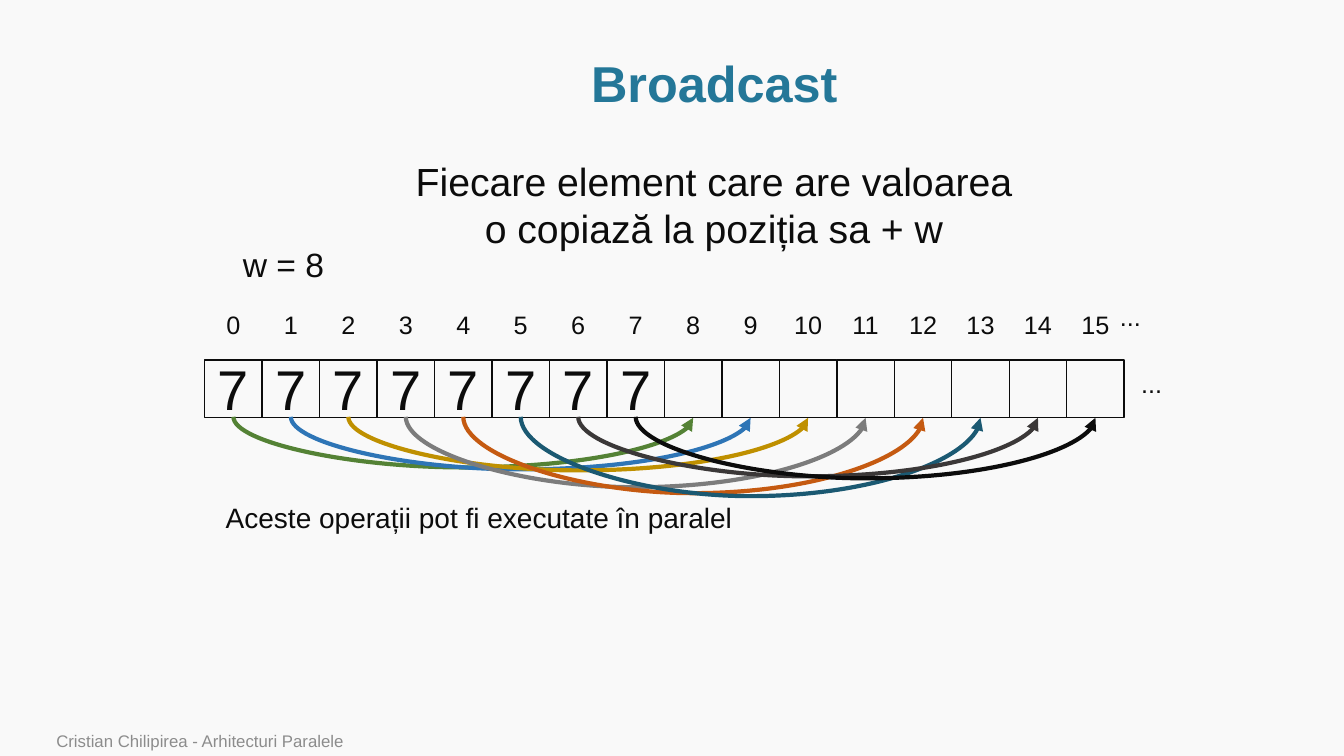
from dataclasses import dataclass

from lxml import etree
from pptx import Presentation
from pptx.dml.color import RGBColor
from pptx.enum.shapes import MSO_CONNECTOR, MSO_SHAPE
from pptx.enum.text import MSO_ANCHOR, PP_ALIGN
from pptx.oxml.ns import qn
from pptx.slide import Slide
from pptx.text.text import TextFrame
from pptx.util import Inches, Pt

CURVE = MSO_CONNECTOR.CURVE
RECTANGLE = MSO_SHAPE.RECTANGLE
TOP, MIDDLE, BOTTOM = MSO_ANCHOR.TOP, MSO_ANCHOR.MIDDLE, MSO_ANCHOR.BOTTOM
LEFT, CENTER = PP_ALIGN.LEFT, PP_ALIGN.CENTER


@dataclass(frozen=True)
class Theme:
    font: str = "Arial"
    background: str = "F9F9F9"
    ink: str = "0C0C0C"
    heading: str = "247798"
    muted: str = "8C8C8C"
    title_size: int = 36
    statement_size: int = 28
    offset_size: int = 24
    remark_size: int = 20
    index_size: int = 18
    value_size: int = 40
    footer_size: int = 12
    cell_line: float = 1
    arrow_line: float = 3


@dataclass(frozen=True)
class Label:
    text: str
    left: float
    top: float
    width: float
    height: float
    size: int
    color: str
    align: PP_ALIGN = LEFT
    anchor: MSO_ANCHOR = TOP
    bold: bool = False
    wrap: bool = True
    line_spacing: float = 1.0


@dataclass(frozen=True)
class CopyArrow:
    color: str
    depth: float


THEME = Theme()

CELL = 0.57
CELL_COUNT = 16
ROW_LEFT, ROW_TOP = 2.03, 3.57
INDEX_TOP, INDEX_HEIGHT = 3.02, 0.4
OFFSET = 8
VALUE = "7"
ARROW_DROP = 0.01

COPY_ARROWS = (
    CopyArrow("548235", 0.51),
    CopyArrow("2E75B6", 0.53),
    CopyArrow("BF9000", 0.54),
    CopyArrow("7C7C7C", 0.71),
    CopyArrow("C55A11", 0.77),
    CopyArrow("1B5972", 0.8),
    CopyArrow(THEME_DARK := "3B3838", 0.6),
    CopyArrow(THEME.ink, 0.62),
)

LABELS = (
    Label("Broadcast", 1.14, 0.51, 11.89, 0.69, THEME.title_size, THEME.heading,
          CENTER, MIDDLE, bold=True, line_spacing=0.9),
    Label("...", 11.01, 2.94, 0.41, 0.4, THEME.index_size, THEME.ink, wrap=False),
    Label("...", 11.22, 3.6, 0.41, 0.4, THEME.index_size, THEME.ink, wrap=False),
    Label("w = 8", 2.31, 2.37, 1.02, 0.5, THEME.offset_size, THEME.ink, wrap=False),
    Label("Aceste operații pot fi executate în paralel", 2.14, 4.92, 5.26, 0.44,
          THEME.remark_size, THEME.ink, wrap=False),
    Label("Cristian Chilipirea - Arhitecturi Paralele", 0.46, 7.22, 9.82, 0.28,
          THEME.footer_size, THEME.muted, anchor=BOTTOM),
    Label("Fiecare element care are valoarea o copiază la poziția sa + w",
          3.87, 1.51, 6.42, 1.04, THEME.statement_size, THEME.ink, CENTER),
)


def write(frame: TextFrame, text: str, size: int, color: str, align: PP_ALIGN,
          bold: bool = False) -> None:
    paragraph = frame.paragraphs[0]
    paragraph.text = text
    paragraph.alignment = align
    font = paragraph.runs[0].font
    font.name = THEME.font
    font.size = Pt(size)
    font.bold = bold
    font.color.rgb = RGBColor.from_string(color)


def add_label(slide: Slide, label: Label) -> None:
    box = slide.shapes.add_textbox(Inches(label.left), Inches(label.top),
                                   Inches(label.width), Inches(label.height))
    frame = box.text_frame
    frame.word_wrap = label.wrap
    frame.vertical_anchor = label.anchor
    write(frame, label.text, label.size, label.color, label.align, label.bold)
    frame.paragraphs[0].line_spacing = label.line_spacing


def add_cell(slide: Slide, index: int) -> None:
    """Draw one array cell with its index above; the first cells hold the value."""
    left = ROW_LEFT + index * CELL
    cell = slide.shapes.add_shape(RECTANGLE, Inches(left), Inches(ROW_TOP),
                                  Inches(CELL), Inches(CELL))
    cell.shadow.inherit = False
    cell.fill.background()
    cell.line.color.rgb = RGBColor.from_string(THEME.ink)
    cell.line.width = Pt(THEME.cell_line)
    if index < OFFSET:
        cell.text_frame.vertical_anchor = MIDDLE
        write(cell.text_frame, VALUE, THEME.value_size, THEME.ink, CENTER)
    add_label(slide, Label(str(index), left, INDEX_TOP, CELL, INDEX_HEIGHT,
                           THEME.index_size, THEME.ink, CENTER, wrap=False))


def add_copy_arrow(slide: Slide, source: int, arrow: CopyArrow) -> None:
    """Curve below the row from a source cell to the cell OFFSET places on.

    The connector is laid out upright about its centre, then turned by 270 degrees.
    """
    span = OFFSET * CELL
    center_x = ROW_LEFT + (source + 0.5) * CELL + span / 2
    center_y = ROW_TOP + CELL
    connector = slide.shapes.add_connector(
        CURVE,
        Inches(center_x + ARROW_DROP / 2), Inches(center_y - span / 2),
        Inches(center_x - ARROW_DROP / 2), Inches(center_y + span / 2))
    connector.line.color.rgb = RGBColor.from_string(arrow.color)
    connector.line.width = Pt(THEME.arrow_line)

    properties = connector._element.spPr
    properties.find(qn("a:xfrm")).set("rot", str(270 * 60000))
    adjustments = properties.find(qn("a:prstGeom")).find(qn("a:avLst"))
    bend = round(arrow.depth / ARROW_DROP * 100000)
    etree.SubElement(adjustments, qn("a:gd"), name="adj1", fmla=f"val {bend}")
    etree.SubElement(properties.find(qn("a:ln")), qn("a:tailEnd"), type="triangle")
    etree.SubElement(properties, qn("a:effectLst"))


def main() -> None:
    presentation = Presentation()
    presentation.slide_width = Inches(13.33)
    presentation.slide_height = Inches(7.5)
    slide = presentation.slides.add_slide(presentation.slide_layouts[6])
    background = slide.background.fill
    background.solid()
    background.fore_color.rgb = RGBColor.from_string(THEME.background)

    for index in range(CELL_COUNT):
        add_cell(slide, index)
    for source, arrow in enumerate(COPY_ARROWS):
        add_copy_arrow(slide, source, arrow)
    for label in LABELS:
        add_label(slide, label)
    presentation.save("out.pptx")


if __name__ == "__main__":
    main()
